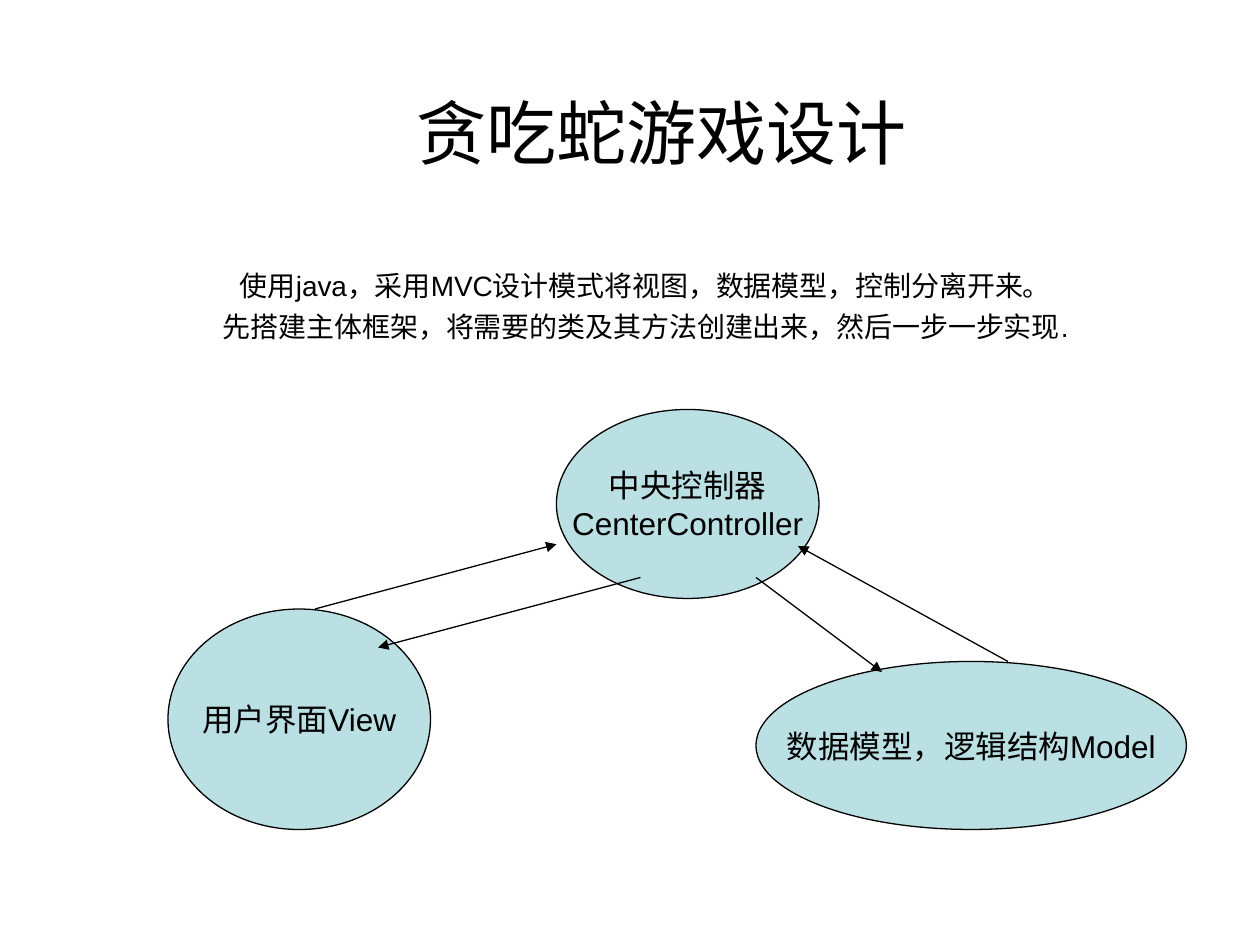
from lxml.etree import SubElement
from pptx import Presentation
from pptx.dml.color import RGBColor
from pptx.enum.shapes import MSO_CONNECTOR, MSO_SHAPE
from pptx.enum.text import MSO_ANCHOR, PP_ALIGN
from pptx.oxml.ns import qn
from pptx.util import Pt

# Content: boxes are left, top, width, height in points
TITLE = (["贪吃蛇游戏设计"], (132, 36, 492, 78))
SUMMARY = (
    [
        "使用java，采用MVC设计模式将视图，数据模型，控制分离开来。",
        "先搭建主体框架，将需要的类及其方法创建出来，然后一步一步实现.",
    ],
    (108, 150, 522, 330),
)
COMPONENTS = [
    (["用户界面View"], (96, 348, 150, 126)),
    (["中央控制器", "CenterController"], (318, 234, 150, 108)),
    (["数据模型，逻辑结构Model"], (432, 378, 246, 96)),
]
ARROWS = [  # start, end
    ((180, 348), (318, 311)),  # view to controller
    ((366, 330), (216, 370)),  # controller to view
    ((432, 330), (504, 384)),  # controller to model
    ((576, 378), (456, 312)),  # model to controller
]

THEME = {
    "font": "Arial",
    "ink": RGBColor(0x00, 0x00, 0x00),
    "fill": RGBColor(0xBB, 0xE0, 0xE3),
    "line": 0.75,
    "title": 40,
    "summary": 16,
    "component": 18,
}


def points(values):
    return [Pt(value) for value in values]


def write_text(shape, lines, *, size, anchor=MSO_ANCHOR.MIDDLE, wrap=True, space_before=0):
    frame = shape.text_frame
    frame.word_wrap = wrap
    frame.vertical_anchor = anchor
    frame.text = "\n".join(lines)
    for paragraph in frame.paragraphs:
        paragraph.alignment = PP_ALIGN.CENTER
        paragraph.space_before = Pt(space_before)
        font = paragraph.runs[0].font
        font.name = THEME["font"]
        font.size = Pt(size)
        font.color.rgb = THEME["ink"]


def style_line(line):
    line.color.rgb = THEME["ink"]
    line.width = Pt(THEME["line"])


def add_component(slide, lines, box):
    shape = slide.shapes.add_shape(MSO_SHAPE.OVAL, *points(box))
    shape.shadow.inherit = False
    shape.fill.solid()
    shape.fill.fore_color.rgb = THEME["fill"]
    style_line(shape.line)
    write_text(shape, lines, size=THEME["component"], wrap=False)


def add_arrow(slide, start, end):
    connector = slide.shapes.add_connector(MSO_CONNECTOR.STRAIGHT, *points(start + end))
    style_line(connector.line)
    properties = connector._element.spPr
    SubElement(properties.find(qn("a:ln")), qn("a:tailEnd"), type="triangle")
    SubElement(properties, qn("a:effectLst"))


def main():
    presentation = Presentation()
    presentation.slide_width, presentation.slide_height = Pt(720), Pt(540)
    slide = presentation.slides.add_slide(presentation.slide_layouts[6])

    # Heading and summary
    lines, box = TITLE
    write_text(slide.shapes.add_textbox(*points(box)), lines, size=THEME["title"])
    lines, box = SUMMARY
    write_text(slide.shapes.add_textbox(*points(box)), lines, size=THEME["summary"],
               anchor=MSO_ANCHOR.TOP, space_before=4)

    # MVC diagram
    for lines, box in COMPONENTS:
        add_component(slide, lines, box)
    for start, end in ARROWS:
        add_arrow(slide, start, end)

    presentation.save("out.pptx")


if __name__ == "__main__":
    main()
